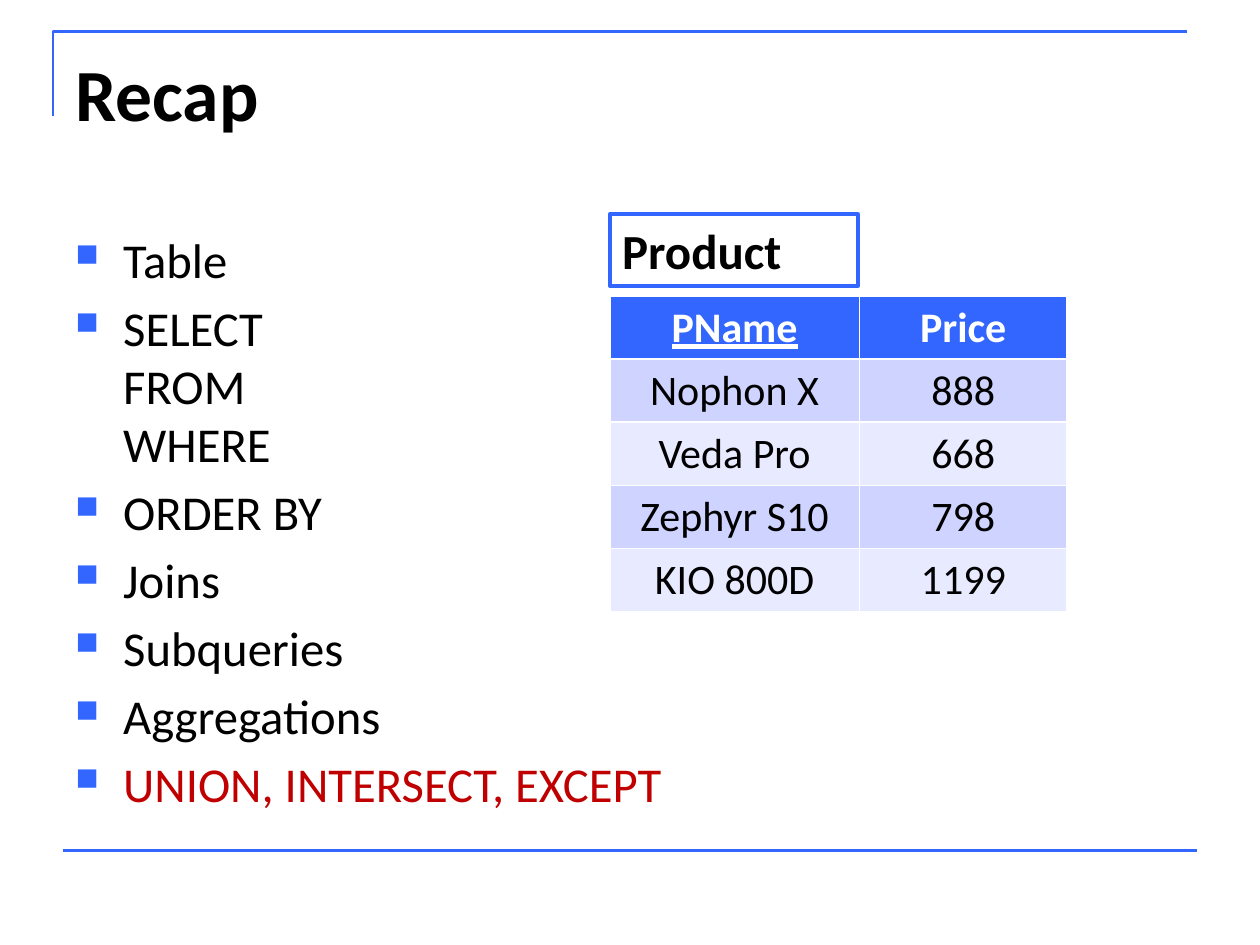
from dataclasses import dataclass

from lxml import etree
from pptx import Presentation
from pptx import util as u
from pptx.dml.color import RGBColor
from pptx.enum import shapes, text
from pptx.oxml import ns

Inches, Pt = u.Inches, u.Pt


@dataclass(frozen=True)
class Theme:
    """Colours, font and type sizes of the slide."""

    font: str = "Calibri"
    accent: str = "3366FF"
    ink: str = "000000"
    paper: str = "FFFFFF"
    highlight: str = "C00000"
    bands: tuple = ("E8EAFF", "CED3FF")
    title: float = 42
    body: float = 27.8
    label: float = 28
    cell: float = 24


THEME = Theme()
TOPICS = [
    "Table",
    "SELECT\vFROM\vWHERE",
    "ORDER BY",
    "Joins",
    "Subqueries",
    "Aggregations",
    "UNION, INTERSECT, EXCEPT",
]
PRODUCTS = [
    ("PName", "Price"),
    ("Nophon X", "888"),
    ("Veda Pro", "668"),
    ("Zephyr S10", "798"),
    ("KIO 800D", "1199"),
]


def rgb(colour):
    """Turn a hex string into a colour."""
    return RGBColor.from_string(colour)


def style(paragraph, size, colour=THEME.ink, bold=False):
    """Format every run of a paragraph."""
    for run in paragraph.runs:
        run.font.name = THEME.font
        run.font.size = Pt(size)
        run.font.bold = bold
        run.font.color.rgb = rgb(colour)


def add_bullet(paragraph, indent):
    """Give a paragraph a hanging square bullet."""
    props = paragraph._p.get_or_add_pPr()
    props.set("marL", str(indent))
    props.set("indent", str(-indent))
    colour = etree.SubElement(props, ns.qn("a:buClr"))
    etree.SubElement(colour, ns.qn("a:srgbClr"), val=THEME.accent)
    etree.SubElement(props, ns.qn("a:buSzPct"), val="65000")
    etree.SubElement(props, ns.qn("a:buChar"), char="■")


def add_frame(slide, left, top, width, height, rule_top):
    """Draw the corner line above the title and the rule at the foot."""
    builder = slide.shapes.build_freeform(left, top + height)
    builder.add_line_segments([(left, top), (left + width, top)], close=False)
    corner = builder.convert_to_shape()
    corner.shadow.inherit = False
    corner.fill.background()
    rule_left = Inches(0.5)
    rule = slide.shapes.add_connector(
        shapes.MSO_CONNECTOR.STRAIGHT, rule_left, rule_top, rule_left + width, rule_top
    )
    etree.SubElement(rule._element.spPr, ns.qn("a:effectLst"))
    for part in (corner, rule):
        part.line.color.rgb = rgb(THEME.accent)
        part.line.width = Pt(1.5)


def add_title(slide, left, top, width, height):
    """Place the slide title."""
    frame = slide.shapes.add_textbox(left, top, width, height).text_frame
    frame.word_wrap = True
    frame.margin_top = Inches(0.08)
    frame.text = "Recap"
    style(frame.paragraphs[0], THEME.title, bold=True)


def add_topics(slide, left, top, width, height):
    """Place the bulleted topics, with the last one highlighted."""
    frame = slide.shapes.add_textbox(left, top, width, height).text_frame
    frame.word_wrap = True
    frame.margin_top = Inches(0.08)
    for index, topic in enumerate(TOPICS):
        paragraph = frame.add_paragraph() if index else frame.paragraphs[0]
        paragraph.text = topic
        add_bullet(paragraph, Inches(0.38))
        paragraph.line_spacing = Pt(33.1)
        paragraph.space_before = Pt(5.7 if index else 0)
        is_last = index == len(TOPICS) - 1
        style(paragraph, THEME.body, THEME.highlight if is_last else THEME.ink)


def add_label(slide, left, top, width, height):
    """Place the outlined name of the product table."""
    label = slide.shapes.add_shape(
        shapes.MSO_SHAPE.RECTANGLE, left, top, width, height
    )
    label.shadow.inherit = False
    label.fill.background()
    label.line.color.rgb = rgb(THEME.accent)
    label.line.width = Pt(2)
    frame = label.text_frame
    frame.text = "Product"
    frame.paragraphs[0].alignment = text.PP_ALIGN.LEFT
    style(frame.paragraphs[0], THEME.label, bold=True)


def add_products(slide, left, top, width, height):
    """Place the banded product table with its key underlined."""
    table = slide.shapes.add_table(
        len(PRODUCTS), len(PRODUCTS[0]), left, top, width, height
    ).table
    name_width = Inches(1.98)
    table.columns[0].width = name_width
    table.columns[1].width = width - name_width
    for row, values in enumerate(PRODUCTS):
        is_header = row == 0
        for column, value in enumerate(values):
            cell = table.cell(row, column)
            cell.fill.solid()
            cell.fill.fore_color.rgb = rgb(
                THEME.accent if is_header else THEME.bands[row % 2]
            )
            cell.text = value
            paragraph = cell.text_frame.paragraphs[0]
            paragraph.alignment = text.PP_ALIGN.CENTER
            style(
                paragraph, THEME.cell, THEME.paper if is_header else THEME.ink, is_header
            )
    key = table.cell(0, 0).text_frame.paragraphs[0].runs[0]
    key.font.underline = True


def main():
    """Build the recap slide and save it."""
    deck = Presentation()
    deck.slide_width, deck.slide_height = Inches(10), Inches(7.5)
    slide = deck.slides.add_slide(deck.slide_layouts[6])
    table_left = Inches(4.84)
    add_frame(slide, Inches(0.42), Inches(0.25), Inches(9), Inches(0.67), Inches(6.75))
    add_title(slide, Inches(0.5), Inches(0.3), Inches(9), Inches(1.25))
    add_topics(slide, Inches(0.5), Inches(1.75), Inches(9), Inches(4.95))
    add_products(slide, table_left, Inches(2.35), Inches(3.63), Inches(2.5))
    add_label(slide, table_left, Inches(1.7), Inches(1.97), Inches(0.57))
    deck.save("out.pptx")


if __name__ == "__main__":
    main()
